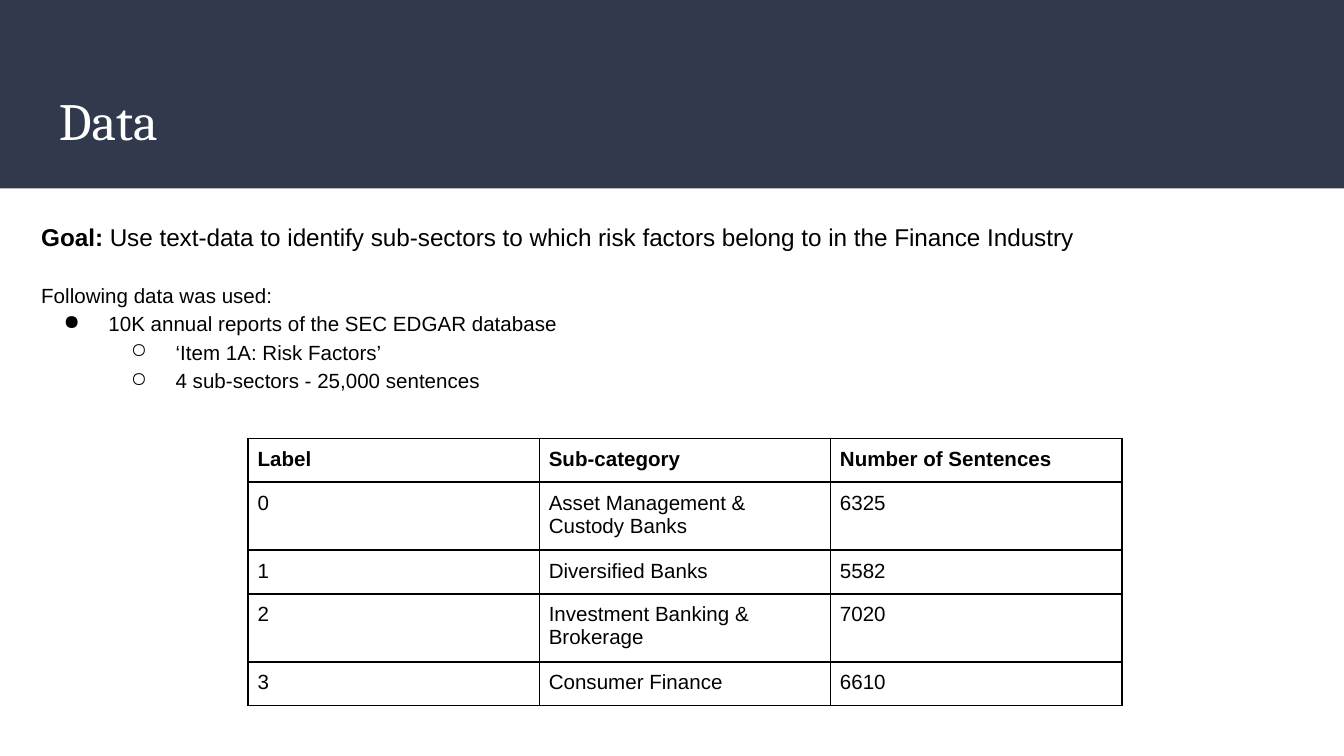
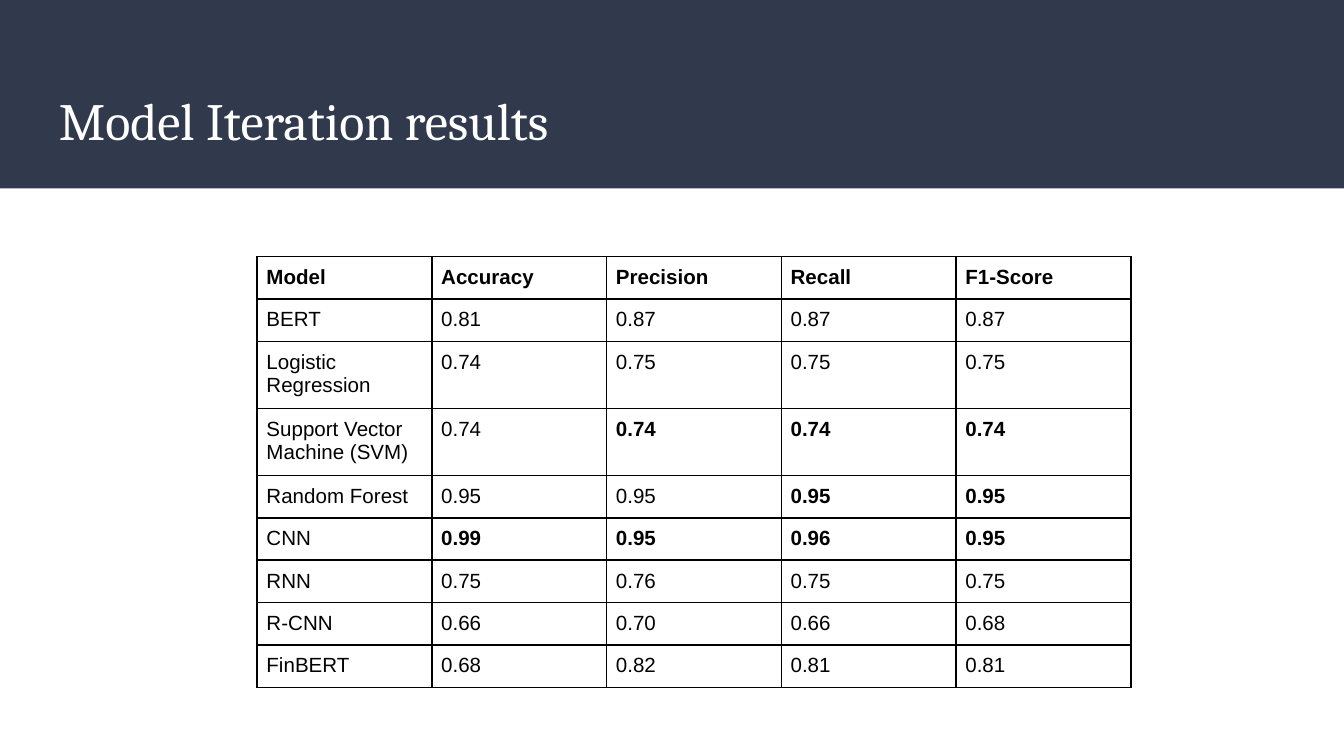
"""Build two slides on text classification: the data and the model results."""
from lxml import etree
from pptx import Presentation
from pptx.dml.color import RGBColor
from pptx.enum.shapes import MSO_SHAPE
from pptx.enum.text import MSO_ANCHOR
from pptx.oxml.ns import qn
from pptx.util import Pt

RECT = MSO_SHAPE.RECTANGLE
TOP, MIDDLE = MSO_ANCHOR.TOP, MSO_ANCHOR.MIDDLE
NAVY = RGBColor(0x31, 0x39, 0x4D)
WHITE = RGBColor(0xFF, 0xFF, 0xFF)
BLACK = RGBColor(0x00, 0x00, 0x00)

SLIDE_W, SLIDE_H = 810 / 1.125, 405
BAND_H = 101
TITLE_BOX = (24.5, 39.5, 671, 49)
BODY_BOX = (15, 109.5, 660, 107)
TABLE_W = 468
CELL_INSETS = dict(margin_left=5, margin_right=5, margin_top=5, margin_bottom=4.5)

TITLE_FONT = dict(name="Cambria", size=Pt(28), bold=False)
BODY_FONT = dict(name="Arial", size=Pt(11), bold=False)
GOAL_FONT = dict(BODY_FONT, size=Pt(13))

BULLETS = ("", "●", "○")
GOAL = ("Goal:", " Use text-data to identify sub-sectors to which risk factors "
                 "belong to in the Finance Industry")
DATA_NOTES = [
    (0, "Following data was used:"),
    (1, "10K annual reports of the SEC EDGAR database"),
    (2, "‘Item 1A: Risk Factors’"),
    (2, "4 sub-sectors - 25,000 sentences"),
]

SECTORS = dict(
    left=133, top=235, short=23.4, tall=36.4, two_line_rows={1, 3}, bold_cells=set(),
    rows=[
        ("Label", "Sub-category", "Number of Sentences"),
        ("0", "Asset Management & Custody Banks", "6325"),
        ("1", "Diversified Banks", "5582"),
        ("2", "Investment Banking & Brokerage", "7020"),
        ("3", "Consumer Finance", "6610"),
    ],
)
SCORES = dict(
    left=137.75, top=137.5, short=22.25, tall=34.6, two_line_rows={2, 3},
    bold_cells={(3, 2), (3, 3), (3, 4), (4, 3), (4, 4),
                (5, 1), (5, 2), (5, 3), (5, 4)},
    rows=[
        ("Model", "Accuracy", "Precision", "Recall", "F1-Score"),
        ("BERT", "0.81", "0.87", "0.87", "0.87"),
        ("Logistic Regression", "0.74", "0.75", "0.75", "0.75"),
        ("Support Vector Machine (SVM)", "0.74", "0.74", "0.74", "0.74"),
        ("Random Forest", "0.95", "0.95", "0.95", "0.95"),
        ("CNN", "0.99", "0.95", "0.96", "0.95"),
        ("RNN", "0.75", "0.76", "0.75", "0.75"),
        ("R-CNN", "0.66", "0.70", "0.66", "0.68"),
        ("FinBERT", "0.68", "0.82", "0.81", "0.81"),
    ],
)


def add_run(p, text, font, color=BLACK):
    r = p.add_run()
    r.text = text
    for key, value in font.items():
        setattr(r.font, key, value)
    r.font.color.rgb = color


def add_text_frame(s, box, anchor):
    tf = s.shapes.add_textbox(*map(Pt, box)).text_frame
    tf.word_wrap = True
    tf.vertical_anchor = anchor
    for side in ("left", "top", "right", "bottom"):
        setattr(tf, f"margin_{side}", Pt(7.2))
    return tf


def add_titled_slide(prs, title):
    s = prs.slides.add_slide(prs.slide_layouts[6])
    band = s.shapes.add_shape(RECT, 0, 0, Pt(SLIDE_W), Pt(BAND_H))
    band.shadow.inherit = False
    band.fill.solid()
    band.fill.fore_color.rgb = NAVY
    band.line.fill.background()
    tf = add_text_frame(s, TITLE_BOX, MIDDLE)
    add_run(tf.paragraphs[0], title, TITLE_FONT, WHITE)
    return s


def set_bullet(p, level):
    p.level = level - 1
    pPr = p._p.get_or_add_pPr()
    pPr.set("marL", str(Pt(36 * level)))
    pPr.set("indent", str(-Pt(24)))
    etree.SubElement(pPr, qn("a:buChar"), char=BULLETS[level])


def add_data_notes(s):
    tf = add_text_frame(s, BODY_BOX, TOP)
    p = tf.paragraphs[0]
    p.line_spacing = 1.15
    label, text = GOAL
    add_run(p, label, dict(GOAL_FONT, bold=True))
    add_run(p, text, GOAL_FONT)
    for level, text in DATA_NOTES:
        p = tf.add_paragraph()
        p.line_spacing = 1.15
        if level:
            set_bullet(p, level)
        else:
            p.space_before = Pt(15)
        add_run(p, text, BODY_FONT)


def set_borders(cell):
    tcPr = cell._tc.get_or_add_tcPr()
    for i, side in enumerate("LRTB"):
        ln = etree.Element(qn(f"a:ln{side}"), w=str(Pt(1)))
        fill = etree.SubElement(ln, qn("a:solidFill"))
        etree.SubElement(fill, qn("a:srgbClr"), val=str(BLACK))
        tcPr.insert(i, ln)


def add_grid(s, grid):
    rows = grid["rows"]
    n_cols = len(rows[0])
    heights = [grid["tall"] if i in grid["two_line_rows"] else grid["short"]
               for i in range(len(rows))]
    box = (grid["left"], grid["top"], TABLE_W, sum(heights))
    table = s.shapes.add_table(len(rows), n_cols, *map(Pt, box)).table
    table.first_row = table.horz_banding = False
    for col in table.columns:
        col.width = Pt(TABLE_W / n_cols)
    for i, row in enumerate(rows):
        table.rows[i].height = Pt(heights[i])
        for j, text in enumerate(row):
            cell = table.cell(i, j)
            for key, value in CELL_INSETS.items():
                setattr(cell, key, Pt(value))
            cell.fill.background()
            set_borders(cell)
            bold = i == 0 or (i, j) in grid["bold_cells"]
            add_run(cell.text_frame.paragraphs[0], text, dict(BODY_FONT, bold=bold))


def main():
    prs = Presentation()
    prs.slide_width, prs.slide_height = Pt(SLIDE_W), Pt(SLIDE_H)
    s = add_titled_slide(prs, "Data")
    add_data_notes(s)
    add_grid(s, SECTORS)
    s = add_titled_slide(prs, "Model Iteration results")
    add_grid(s, SCORES)
    prs.save("out.pptx")


if __name__ == "__main__":
    main()
